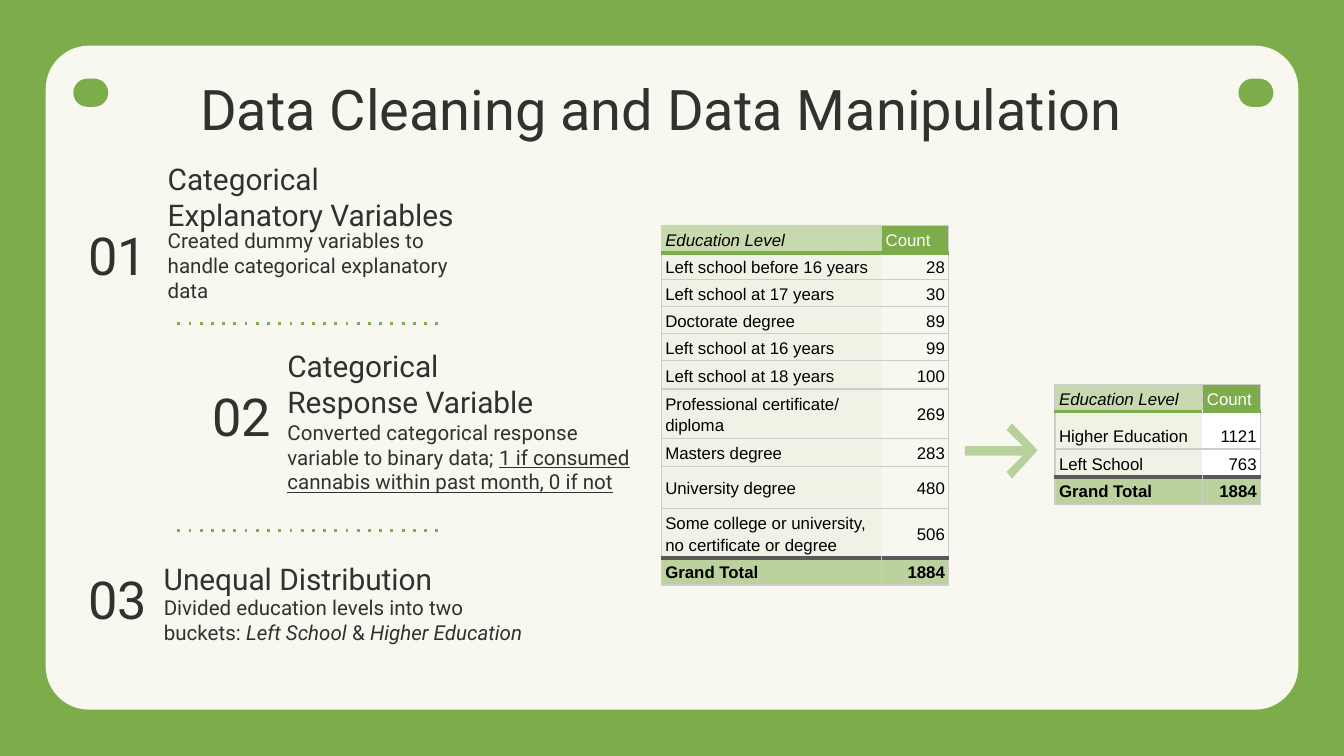
"""Build the data cleaning and data manipulation slide."""
from lxml.etree import SubElement
from pptx import Presentation
from pptx.dml.color import RGBColor
from pptx.enum.shapes import MSO_CONNECTOR, MSO_SHAPE
from pptx.enum.text import MSO_ANCHOR, PP_ALIGN
from pptx.oxml.ns import qn
from pptx.util import Inches, Pt

THEME = {
    "green": "7CAD4A", "paper": "F8F7F0", "ink": "31312E", "black": "000000",
    "white": "FFFFFF", "grid": "CCCCCC", "rule": "595959",
    "font": "Roboto", "table_font": "Arial",
    "title": 30, "number": 28, "heading": 16, "body": 11, "cell": 9,
    "header_alpha": 39, "label_alpha": 6, "total_alpha": 49, "arrow_alpha": 51,
    "thin": 0.75, "thick": 2.25, "dots": 1.5,
}
NO_STYLE = "{2D5ABB26-0587-4C30-8999-92F81FD0307C}"

TITLE = ("Data Cleaning and Data Manipulation", (1.39, 0.54, 7.39, 0.53))
STEPS = [
    {"number": ("01", (0.56, 1.45)),
     "heading": (["Categorical", "Explanatory Variables"], (1.15, 1.26)),
     "body": ([("Created dummy variables to handle categorical explanatory data", "")],
              (1.15, 1.71, 2.5, 0.53))},
    {"number": ("02", (1.48, 2.65)),
     "heading": (["Categorical", "Response Variable"], (2.04, 2.65)),
     "body": ([("Converted categorical response variable to binary data; ", ""),
               ("1 if consumed cannabis within past month, 0 if not", "u")],
              (2.04, 2.99, 2.92, 0.82))},
    {"number": ("03", (0.56, 4.01)),
     "heading": (["Unequal Distribution"], (1.12, 4.1)),
     "body": ([("Divided education levels into two buckets: ", ""), ("Left School", "i"),
               (" & ", ""), ("Higher Education", "i")],
              (1.12, 4.2, 2.92, 0.82))},
]
DIVIDERS = [2.41, 3.95]
HEADER = ("Education Level", "Count")
TABLES = [
    {"at": (4.92, 1.68), "cols": (1.64, 0.5), "anchor": MSO_ANCHOR.MIDDLE,
     "value_fill": None, "inner": None,
     "heights": (0.2, 0.2, 0.2, 0.2, 0.2, 0.21, 0.37, 0.21, 0.31, 0.37, 0.2),
     "rows": [("Left school before 16 years", 28), ("Left school at 17 years", 30),
              ("Doctorate degree", 89), ("Left school at 16 years", 99),
              ("Left school at 18 years", 100), ("Professional certificate/ diploma", 269),
              ("Masters degree", 283), ("University degree", 480),
              ("Some college or university, no certificate or degree", 506),
              ("Grand Total", 1884)]},
    {"at": (7.85, 2.86), "cols": (1.1, 0.43), "anchor": MSO_ANCHOR.BOTTOM,
     "value_fill": "white", "inner": "white", "heights": (0.2, 0.28, 0.21, 0.2),
     "rows": [("Higher Education", 1121), ("Left School", 763), ("Grand Total", 1884)]},
]
ARROW = [(7.53, 3.15), (7.49, 3.2), (7.61, 3.32), (7.18, 3.32), (7.18, 3.39),
         (7.61, 3.39), (7.49, 3.51), (7.53, 3.56), (7.72, 3.35)]


def rgb(name):
    return RGBColor.from_string(THEME[name])


def set_fill(fill, color, alpha=None):
    if color is None:
        fill.background()
        return
    fill.solid()
    fill.fore_color.rgb = rgb(color)
    if alpha:
        clr = fill._xPr.find(qn("a:solidFill"))[0]
        SubElement(clr, qn("a:alpha"), val=str(alpha * 1000))


def paint(sp, color, alpha=None):
    sp.shadow.inherit = False
    set_fill(sp.fill, color, alpha)
    sp.line.fill.background()


def add_round(s, box, color, adj, rotation=0):
    sp = s.shapes.add_shape(MSO_SHAPE.ROUNDED_RECTANGLE, *map(Inches, box))
    sp.adjustments[0] = adj
    sp.rotation = rotation
    paint(sp, color)


def add_run(p, text, size, color="ink", font="font", style=""):
    r = p.add_run()
    r.text = text
    r.font.name, r.font.size = THEME[font], Pt(THEME[size])
    r.font.color.rgb = rgb(color)
    r.font.bold, r.font.italic, r.font.underline = (k in style for k in "biu")


def add_text(s, paragraphs, box, size):
    tf = s.shapes.add_textbox(*map(Inches, box)).text_frame
    tf.word_wrap = True
    tf.vertical_anchor = MSO_ANCHOR.MIDDLE
    tf.margin_left = tf.margin_right = tf.margin_top = tf.margin_bottom = Inches(0.1)
    for i, runs in enumerate(paragraphs):
        p = tf.add_paragraph() if i else tf.paragraphs[0]
        p.alignment = PP_ALIGN.LEFT
        for text, style in runs:
            add_run(p, text, size, style=style)


def add_border(cell, side, color, width):
    ln = SubElement(cell._tc.get_or_add_tcPr(), qn(f"a:ln{side}"), w=str(Pt(width)))
    if color:
        fill = SubElement(ln, qn("a:solidFill"))
        SubElement(fill, qn("a:srgbClr"), val=THEME[color])
    else:
        SubElement(ln, qn("a:noFill"))


def add_counts(s, data):
    rows = [HEADER] + data["rows"]
    last = len(rows) - 1
    heights, cols = data["heights"], data["cols"]
    box = (*data["at"], sum(cols), sum(heights))
    table = s.shapes.add_table(len(rows), 2, *map(Inches, box)).table
    table._tbl.tblPr.find(qn("a:tableStyleId")).text = NO_STYLE
    table.first_row = table.horz_banding = False
    for col, width in zip(table.columns, cols):
        col.width = Inches(width)
    thin, thick = THEME["thin"], THEME["thick"]
    edges = [("grid", thin)] * (last + 2)
    edges[1], edges[last] = ("green", thick), ("rule", thick)
    for i, row in enumerate(rows):
        table.rows[i].height = Inches(heights[i])
        body = 0 < i < last
        inner = data["inner"] if body else "grid"
        for j, value in enumerate(row):
            cell = table.cell(i, j)
            add_border(cell, "L", inner if j else "grid", thin)
            add_border(cell, "R", "grid" if j else inner, thin)
            add_border(cell, "T", *edges[i])
            add_border(cell, "B", *edges[i + 1])
            if i == 0:
                color, alpha = "green", None if j else THEME["header_alpha"]
            elif i == last:
                color, alpha = "green", THEME["total_alpha"]
            elif j:
                color, alpha = data["value_fill"], None
            else:
                color, alpha = "green", THEME["label_alpha"]
            set_fill(cell.fill, color, alpha)
            cell.margin_left = cell.margin_right = Inches(0.03)
            cell.margin_top = cell.margin_bottom = Inches(0.02)
            cell.vertical_anchor = data["anchor"] if body else MSO_ANCHOR.BOTTOM
            p = cell.text_frame.paragraphs[0]
            p.line_spacing = 1.15
            p.alignment = PP_ALIGN.RIGHT if i and j else PP_ALIGN.LEFT
            style = "b" if i == last else "i" if i == j == 0 else ""
            ink = "white" if i == 0 and j else "black"
            add_run(p, str(value), "cell", ink, "table_font", style)


def add_arrow(s):
    points = [(Inches(x), Inches(y)) for x, y in ARROW]
    fb = s.shapes.build_freeform(*points[0], scale=1.0)
    fb.add_line_segments(points[1:], close=True)
    paint(fb.convert_to_shape(), "green", THEME["arrow_alpha"])


def add_divider(s, y):
    cx = s.shapes.add_connector(
        MSO_CONNECTOR.STRAIGHT, Inches(1.32), Inches(y), Inches(3.3), Inches(y))
    cx.line.color.rgb = rgb("green")
    cx.line.width = Pt(THEME["dots"])
    SubElement(cx.line._get_or_add_ln(), qn("a:prstDash"), val="dot")
    SubElement(cx._element.spPr, qn("a:effectLst"))


def main():
    prs = Presentation()
    prs.slide_width = Inches(10)
    prs.slide_height = prs.slide_width * 9 // 16
    s = prs.slides.add_slide(prs.slide_layouts[6])
    set_fill(s.background.fill, "green")
    add_round(s, (0.34, 0.34, 9.32, 4.94), "paper", 0.065)
    for x, rotation in ((0.57, 90), (9.24, 270)):
        add_round(s, (x, 0.56, 0.21, 0.26), "green", 0.5, rotation)
    first, second = TABLES
    add_counts(s, first)
    add_arrow(s)
    add_counts(s, second)
    text, box = TITLE
    add_text(s, [[(text, "")]], box, "title")
    for step in STEPS:
        runs, box = step["body"]
        add_text(s, [runs], box, "body")
        lines, at = step["heading"]
        add_text(s, [[(text, "")] for text in lines], (*at, 3.1, 0.41), "heading")
        text, at = step["number"]
        add_text(s, [[(text, "")]], (*at, 0.72, 0.89), "number")
    for y in DIVIDERS:
        add_divider(s, y)
    prs.save("out.pptx")


if __name__ == "__main__":
    main()
